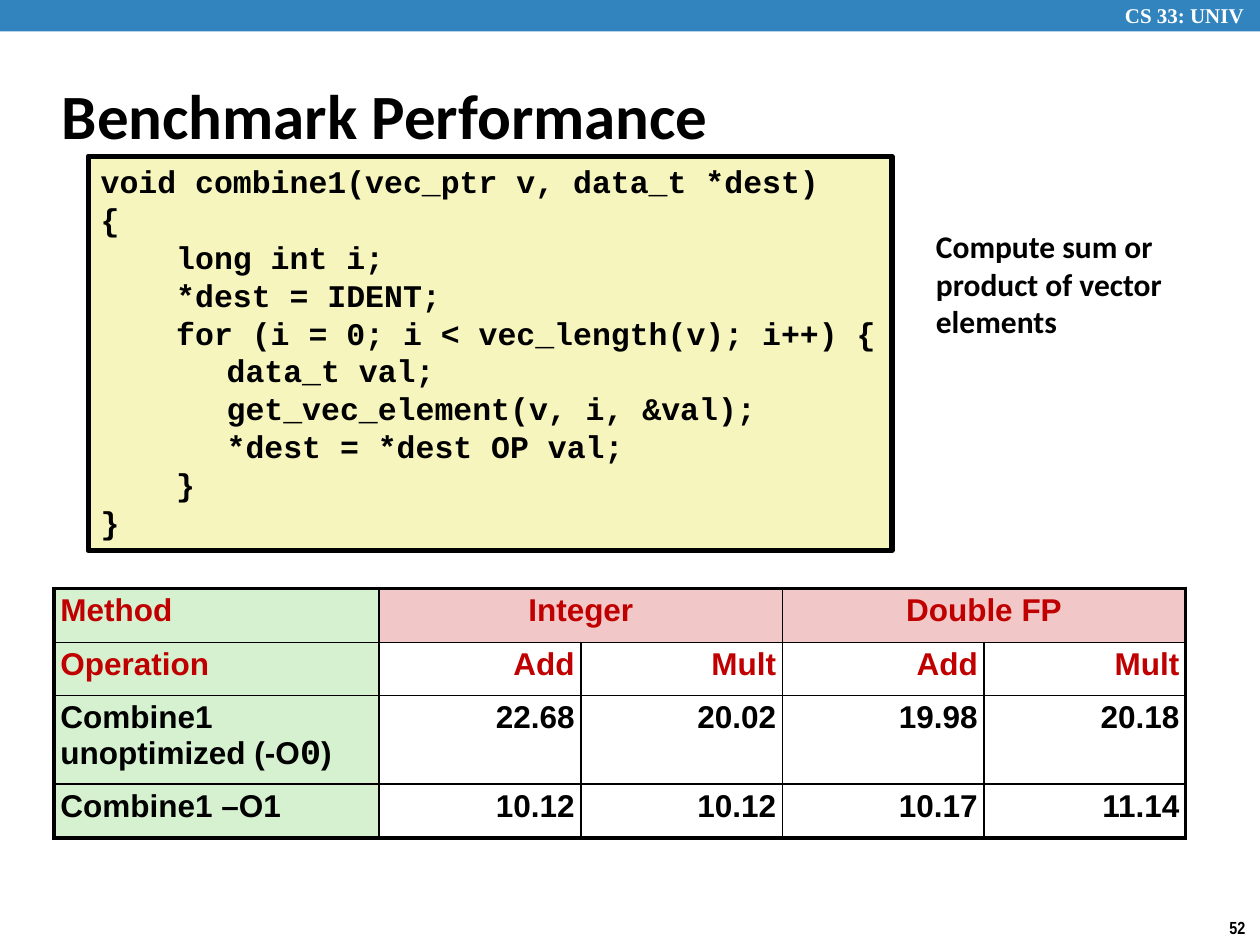
from lxml import etree
from pptx import Presentation
from pptx.dml.color import RGBColor
from pptx.enum import shapes, text
from pptx.oxml import ns
from pptx.util import Inches, Pt

BLACK = RGBColor(0, 0, 0)
WHITE = RGBColor(255, 255, 255)
BLUE = RGBColor(0x32, 0x84, 0xBF)
CREAM = RGBColor(0xF6, 0xF5, 0xBD)
RED = RGBColor(0xC0, 0, 0)
GREEN = RGBColor(0xD5, 0xF1, 0xCF)
PINK = RGBColor(0xF1, 0xC7, 0xC7)

TITLE = "Benchmark Performance"
CODE = [
    "void combine1(vec_ptr v, data_t *dest)",
    "{",
    "    long int i;",
    "    *dest = IDENT;",
    "    for (i = 0; i < vec_length(v); i++) {",
    "\tdata_t val;",
    "\tget_vec_element(v, i, &val);",
    "\t*dest = *dest OP val;",
    "    }",
    "}",
]
TAB_STOPS = (1, 2.5)
LABELS = [
    ("CS 33: UNIV", (8.83, -0.03, 1.24, 0.3), True,
     dict(name="Times New Roman", size=Pt(12)), WHITE),
    ("52", (9.66, 7.23, 0.34, 0.27), False,
     dict(name="Arial Narrow", size=Pt(10)), BLACK),
    ("Compute sum or product of vector elements", (7.33, 1.75, 2.67, 1.01), True,
     dict(name="Calibri", size=Pt(18)), BLACK),
]
ARIAL = dict(name="Arial", size=Pt(18))
COURIER = dict(name="Courier New", size=Pt(18))
ZERO = dict(name="Courier New", size=Pt(20))
RESULTS = [
    ["Method", "Integer", "", "Double FP", ""],
    ["Operation", "Add", "Mult", "Add", "Mult"],
    [[("Combine1 unoptimized (-O", ARIAL), ("0", ZERO), (")", ARIAL)],
     "22.68", "20.02", "19.98", "20.18"],
    ["Combine1 –O1", "10.12", "10.12", "10.17", "11.14"],
]
COLUMN_WIDTHS = [2.58, 1.6, 1.6, 1.6, 1.6]
ROW_HEIGHTS = [0.43, 0.42, 0.7, 0.43]


def apply(target, values):
    for key, value in values.items():
        setattr(target, key, value)


def write(paragraph, content, face, color):
    runs = [(content, face)] if isinstance(content, str) else content
    for words, run_face in runs:
        run = paragraph.add_run()
        run.text = words
        apply(run.font, dict(run_face, bold=True))
        run.font.color.rgb = color


def add_box(slide, place, fill):
    box = slide.shapes.add_shape(shapes.MSO_SHAPE.RECTANGLE, *map(Inches, place))
    box.shadow.inherit = False
    box.fill.solid()
    box.fill.fore_color.rgb = fill
    return box


def add_tabs(paragraph):
    stops = etree.SubElement(paragraph._p.get_or_add_pPr(), ns.qn("a:tabLst"))
    for stop in TAB_STOPS:
        etree.SubElement(stops, ns.qn("a:tab"), pos=str(Inches(stop)), algn="l")


def add_borders(cell, widths):
    props = cell._tc.get_or_add_tcPr()
    for side, width in widths.items():
        line = etree.SubElement(props, ns.qn(f"a:ln{side}"), w=str(Pt(width)))
        fill = etree.SubElement(line, ns.qn("a:solidFill"))
        etree.SubElement(fill, ns.qn("a:srgbClr"), val=str(BLACK))


def add_code(slide):
    listing = add_box(slide, (0.7, 1.24, 6.38, 3.13), CREAM)
    listing.line.color.rgb = BLACK
    listing.line.width = Pt(3)
    frame = listing.text_frame
    apply(frame, dict(word_wrap=False, auto_size=text.MSO_AUTO_SIZE.SHAPE_TO_FIT_TEXT,
                      vertical_anchor=text.MSO_ANCHOR.TOP))
    for i, code_line in enumerate(CODE):
        paragraph = frame.add_paragraph() if i else frame.paragraphs[0]
        paragraph.alignment = text.PP_ALIGN.LEFT
        add_tabs(paragraph)
        write(paragraph, code_line, COURIER, BLACK)


def add_results(slide):
    last_row, last_col = len(RESULTS) - 1, len(COLUMN_WIDTHS) - 1
    place = (0.43, 4.67, sum(COLUMN_WIDTHS), sum(ROW_HEIGHTS))
    results = slide.shapes.add_table(last_row + 1, last_col + 1, *map(Inches, place)).table
    apply(results, dict(first_row=False, horz_banding=False))
    for column, width in zip(results.columns, COLUMN_WIDTHS):
        column.width = Inches(width)
    for row, height in zip(results.rows, ROW_HEIGHTS):
        row.height = Inches(height)
    for first in (1, 3):
        results.cell(0, first).merge(results.cell(0, first + 1))

    margins = {f"margin_{side}": Inches(0.05) for side in ("left", "right", "top", "bottom")}
    for r, row in enumerate(RESULTS):
        for c, content in enumerate(row):
            cell = results.cell(r, c)
            apply(cell, margins)
            outer = dict(L=c == 0, R=c == last_col or (r == 0 and c == last_col - 1),
                         T=r == 0, B=r == last_row)
            add_borders(cell, {side: 2.25 if edge else 1 for side, edge in outer.items()})
            fill = GREEN if c == 0 else PINK if r == 0 else None
            if fill:
                cell.fill.solid()
                cell.fill.fore_color.rgb = fill
            else:
                cell.fill.background()
            if content:
                paragraph = cell.text_frame.paragraphs[0]
                align = text.PP_ALIGN
                paragraph.alignment = (align.LEFT if c == 0 else
                                       align.CENTER if r == 0 else align.RIGHT)
                paragraph.line_spacing = 0.95
                write(paragraph, content, ARIAL, RED if r < 2 else BLACK)


def main():
    deck = Presentation()
    apply(deck, dict(slide_width=Inches(10), slide_height=Inches(7.5)))
    slide = deck.slides.add_slide(deck.slide_layouts[5])

    banner = add_box(slide, (0, 0, 10, 0.25), BLUE)
    banner.line.fill.background()

    title = slide.shapes.title
    apply(title, dict(left=Inches(0.39), top=Inches(0.49),
                      width=Inches(8.3), height=Inches(0.83)))
    title.text_frame.vertical_anchor = text.MSO_ANCHOR.MIDDLE
    heading = title.text_frame.paragraphs[0]
    heading.alignment = text.PP_ALIGN.LEFT
    write(heading, TITLE, dict(name="Calibri", size=Pt(36)), BLACK)

    add_code(slide)
    for words, place, wrap, face, color in LABELS:
        label = slide.shapes.add_textbox(*map(Inches, place)).text_frame
        apply(label, dict(word_wrap=wrap, auto_size=text.MSO_AUTO_SIZE.SHAPE_TO_FIT_TEXT))
        write(label.paragraphs[0], words, face, color)
    add_results(slide)
    deck.save("out.pptx")


if __name__ == "__main__":
    main()
